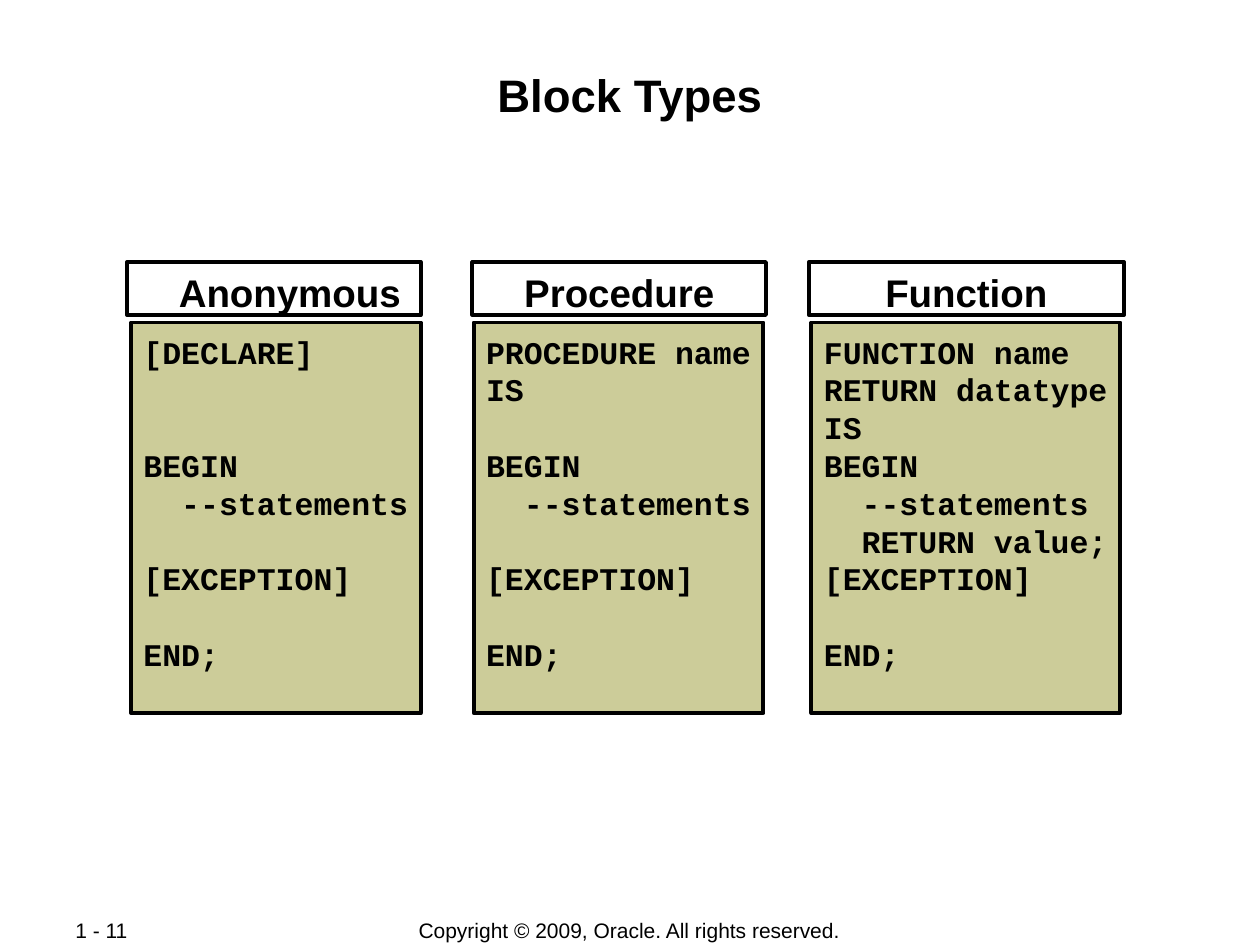
from dataclasses import dataclass

from pptx import Presentation
from pptx.dml.color import RGBColor
from pptx.enum.shapes import MSO_SHAPE as Shape
from pptx.enum.text import MSO_ANCHOR as Anchor, PP_ALIGN as Align
from pptx.util import Inches, Pt


@dataclass(frozen=True)
class Theme:
    ink: RGBColor = RGBColor(0x00, 0x00, 0x00)
    panel: RGBColor = RGBColor(0xCC, 0xCC, 0x99)
    sans: str = "Arial"
    mono: str = "Courier New"
    title: Pt = Pt(26)
    heading: Pt = Pt(22)
    code: Pt = Pt(18)
    footer: Pt = Pt(12)
    code_pitch: Pt = Pt(21.6)
    border: Pt = Pt(2.25)


THEME = Theme()


def set_frame(box, anchor, left=0.1, top=0.05, right=0.1, bottom=0.05, wrap=True):
    frame = box.text_frame
    frame.word_wrap = wrap
    frame.vertical_anchor = anchor
    frame.margin_left, frame.margin_top = Inches(left), Inches(top)
    frame.margin_right, frame.margin_bottom = Inches(right), Inches(bottom)
    return frame


def write(para, text, size, font=THEME.sans, bold=True, align=Align.LEFT):
    para.alignment = align
    span = para.add_run()
    span.text = text
    span.font.name = font
    span.font.size = size
    span.font.bold = bold
    span.font.color.rgb = THEME.ink


def add_outlined_box(page, bounds):
    box = page.shapes.add_shape(Shape.RECTANGLE, *map(Inches, bounds))
    box.shadow.inherit = False
    box.line.color.rgb = THEME.ink
    box.line.width = THEME.border
    return box


def add_title(page, bounds, text):
    box = page.shapes.add_textbox(*map(Inches, bounds))
    frame = set_frame(box, Anchor.TOP, 0.01, 0.05, 0.01, 0.01)
    write(frame.paragraphs[0], text, THEME.title, align=Align.CENTER)


def add_code_panel(page, bounds, steps):
    box = add_outlined_box(page, bounds)
    box.fill.solid()
    box.fill.fore_color.rgb = THEME.panel
    frame = set_frame(box, Anchor.TOP, top=0.08, wrap=False)
    previous_row = -1
    for row, text in steps:
        first = previous_row < 0
        para = frame.paragraphs[0] if first else frame.add_paragraph()
        para.line_spacing = THEME.code_pitch
        para.space_before = THEME.code_pitch * (row - previous_row - 1)
        write(para, text, THEME.code, THEME.mono)
        previous_row = row


def add_heading(page, bounds, text, indent):
    box = add_outlined_box(page, bounds)
    box.fill.background()
    frame = set_frame(box, Anchor.MIDDLE, left=0.1 + indent, top=0.1)
    write(frame.paragraphs[0], text, THEME.heading, align=Align.CENTER)


def add_footer(page, bounds, text, align):
    box = page.shapes.add_textbox(*map(Inches, bounds))
    frame = set_frame(box, Anchor.MIDDLE)
    write(frame.paragraphs[0], text, THEME.footer, bold=False, align=align)


def main():
    deck = Presentation()
    deck.slide_width, deck.slide_height = Inches(10), Inches(7.5)
    page = deck.slides.add_slide(deck.slide_layouts[6])

    add_footer(page, (2.75, 7.28, 4.49, 0.21),
               "Copyright © 2009, Oracle. All rights reserved.", Align.CENTER)
    add_footer(page, (0.5, 7.28, 1.06, 0.2), "1 - 11", Align.LEFT)
    add_title(page, (0.67, 0.48, 8.66, 0.96), "Block Types")

    body = [(3, "BEGIN"), (4, "  --statements")]
    ending = [(6, "[EXCEPTION]"), (8, "END;")]
    blocks = [
        ("Anonymous", 0.25, (1.01, 2.33), (1.04, 2.3),
         [(0, "[DECLARE]"), *body, *ending]),
        ("Procedure", 0, (3.75, 2.33), (3.76, 2.3),
         [(0, "PROCEDURE name"), (1, "IS"), *body, *ending]),
        ("Function", 0, (6.42, 2.5), (6.44, 2.45),
         [(0, "FUNCTION name"), (1, "RETURN datatype"), (2, "IS"),
          *body, (5, "  RETURN value;"), *ending]),
    ]
    for name, indent, (head_left, head_width), (left, width), steps in blocks:
        add_code_panel(page, (left, 2.56, width, 3.1), steps)
        add_heading(page, (head_left, 2.08, head_width, 0.42), name, indent)

    deck.save("out.pptx")


if __name__ == "__main__":
    main()
